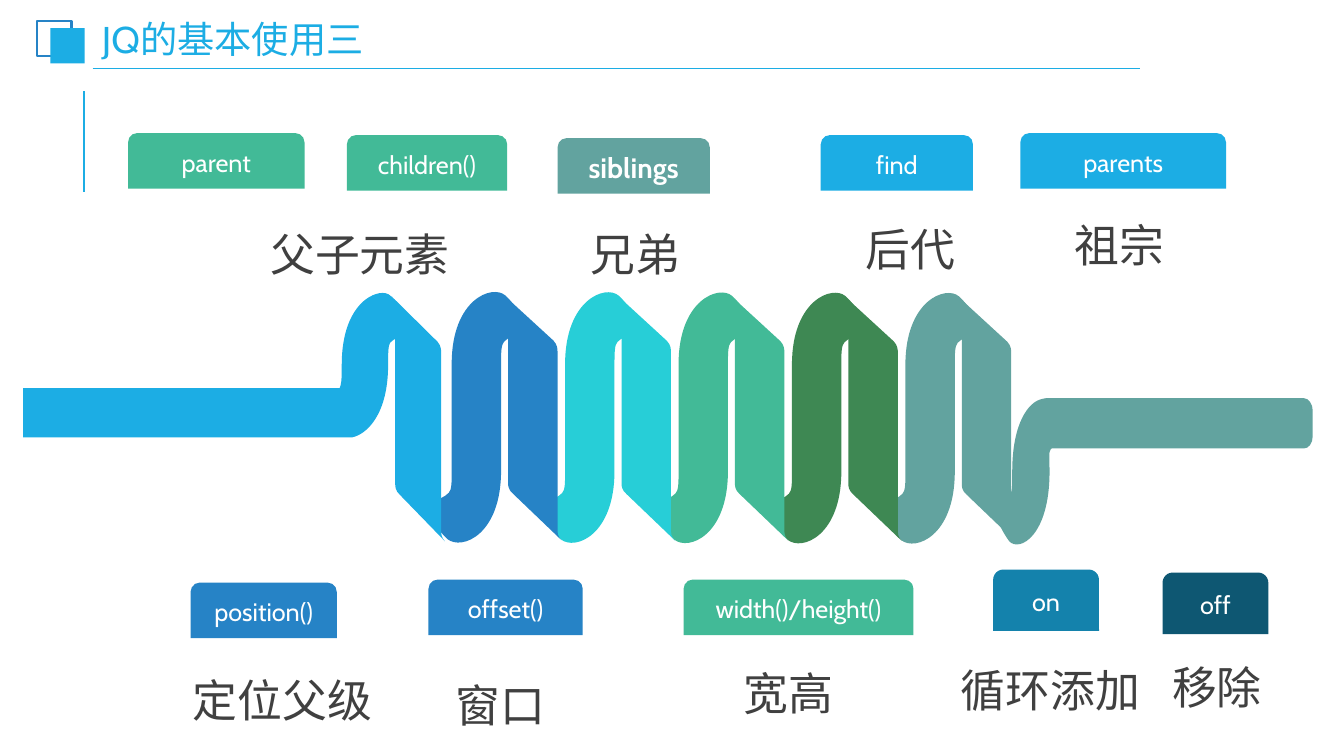
from lxml import etree
from pptx import Presentation
from pptx.dml.color import RGBColor
from pptx.enum.shapes import MSO_CONNECTOR as CONN, MSO_SHAPE as SHAPE
from pptx.enum.text import MSO_ANCHOR as ANCHOR, MSO_AUTO_SIZE as AUTO, PP_ALIGN as ALIGN
from pptx.oxml.ns import qn
from pptx.util import Pt

PX = 9144  # EMU per px, 100 px to the inch
SKY, BLUE, CYAN, GREEN = "1CADE4", "2683C6", "27CED7", "42BA97"
FOREST, SAGE, TEAL, NAVY = "3E8853", "62A39F", "1482AC", "0E5772"
WHITE, INK = "FFFFFF", "404040"

# Outlines in px: a pair is a corner, six numbers are a Bezier curve.
BEND = [
    (49, 174), (49, 69), (49, 57, 49, 49, 52, 46), (61, 37, 70, 42, 72, 35),
    (75, 26, 61, 7, 53, 0), (40, -11, 0, 4, 0, 68), (0, 174),
    (0, 186, 0, 193, -3, 196), (-12, 205, -21, 201, -23, 207),
    (-26, 216, -12, 235, -4, 242), (10, 253, 49, 238, 49, 174),
]
SLAB = [
    (105, 234), (105, 56), (105, 54, 105, 49, 101, 45), (52, 0),
    (53, 0, 56, 4, 56, 9), (56, 187), (56, 188, 56, 193, 61, 197),
    (109, 243), (108, 242, 105, 239, 105, 234),
]
HEAD = [
    (376, 291), (381, 290, 385, 291, 388, 294), (396, 301, 409, 320, 407, 329),
    (405, 335, 396, 331, 387, 340), (385, 343, 385, 351, 385, 362),
    (385, 411, 364, 431, 349, 434), (23, 434), (23, 385), (337, 385), (338, 382),
    (339, 378, 339, 371, 339, 362), (339, 314, 360, 294, 376, 291),
]
TAIL = [
    (1038, 395), (1293, 395), (1298, 395, 1302, 401, 1302, 407), (1302, 433),
    (1302, 440, 1298, 445, 1293, 445), (1043, 445), (1042, 446),
    (1040, 448, 1041, 456, 1041, 468), (1041, 532, 1011, 548, 1001, 537),
    (995, 529, 985, 511, 987, 501), (988, 495, 995, 499, 1002, 490),
    (1004, 488, 1004, 480, 1004, 468), (1004, 420, 1020, 399, 1033, 396),
    (1034, 396, 1035, 395, 1038, 395),
]
COILS = [BLUE, CYAN, GREEN, FOREST, SAGE]

TABS = [
    ("parent", 127, 132, 175, 55, GREEN),
    ("children()", 344, 134, 159, 55, GREEN),
    ("find", 814, 134, 151, 55, SKY),
    ("parents", 1012, 132, 204, 55, SKY),
    ("position()", 189, 578, 145, 55, BLUE),
    ("offset()", 425, 575, 153, 55, BLUE),
    ("width()/height()", 678, 575, 228, 55, GREEN),
    ("on", 985, 565, 105, 61, TEAL),
    ("off", 1153, 568, 105, 61, NAVY),
]
CAPTIONS = [
    ("父子元素", 226, 204), ("兄弟", 499, 204), ("后代", 772, 199), ("祖宗", 979, 195),
    ("定位父级", 149, 646), ("窗口", 365, 651), ("宽高", 651, 640),
    ("循环添加", 911, 637), ("移除", 1076, 634),
]


def rgb(value):
    return RGBColor.from_string(value)


def emu(*lengths):
    return [round(n * PX) for n in lengths]


def write(tf, text, *, size, color, bold=False, align=ALIGN.CENTER, spacing=1.0,
          anchor=ANCHOR.MIDDLE, fit=AUTO.NONE):
    tf.word_wrap, tf.auto_size, tf.vertical_anchor = True, fit, anchor
    p = tf.paragraphs[0]
    p.alignment, p.line_spacing = align, spacing
    r = p.add_run()
    r.text = text
    r.font.name, r.font.size, r.font.bold = "Cabin", Pt(size), bold
    r.font.color.rgb = rgb(color)


def bend_segments(sp, outline):
    """Join each three straight segments that stand for a curve into one."""
    segments = iter(list(sp._element.iter(qn("a:lnTo"))))
    for part in outline[1:]:
        first = next(segments)
        if len(part) == 6:
            first.tag = qn("a:cubicBezTo")
            for _ in range(2):
                control = next(segments)
                first.append(control[0])
                control.getparent().remove(control)


class Deck:
    def __init__(self, width, height):
        self.prs = Presentation()
        self.prs.slide_width, self.prs.slide_height = emu(width, height)
        self.s = self.prs.slides.add_slide(self.prs.slide_layouts[5])

    def title(self, text, x, y, w, h):
        sp = self.s.shapes.title
        sp.left, sp.top, sp.width, sp.height = emu(x, y, w, h)
        tf = sp.text_frame
        tf.margin_left, tf.margin_right, tf.margin_top, tf.margin_bottom = emu(7, 7, 4, 4)
        write(tf, text, size=26.6, color=SKY, align=ALIGN.LEFT, spacing=0.9)

    def line(self, x1, y1, x2, y2, weight):
        c = self.s.shapes.add_connector(CONN.STRAIGHT, *emu(x1, y1, x2, y2))
        c.line.color.rgb, c.line.width = rgb(SKY), Pt(weight)
        etree.SubElement(c._element.spPr, qn("a:effectLst"))

    def paint(self, sp, fill=None, line=None):
        sp.shadow.inherit = False
        if fill:
            sp.fill.solid()
            sp.fill.fore_color.rgb = rgb(fill)
        else:
            sp.fill.background()
        if line:
            sp.line.color.rgb, sp.line.width = rgb(line), Pt(1.5)
        else:
            sp.line.fill.background()

    def box(self, kind, x, y, w, h, **colors):
        sp = self.s.shapes.add_shape(kind, *emu(x, y, w, h))
        self.paint(sp, **colors)
        return sp

    def tab(self, text, x, y, w, h, fill, size=18, bold=False):
        sp = self.box(SHAPE.ROUND_2_SAME_RECTANGLE, x, y, w, h, fill=fill)
        write(sp.text_frame, text, size=size, color=WHITE, bold=bold)

    def caption(self, text, x, y):
        sp = self.s.shapes.add_textbox(*emu(x, y, 262, 75))
        write(sp.text_frame, text, size=32, color=INK, spacing=1.3,
              anchor=ANCHOR.TOP, fit=AUTO.SHAPE_TO_FIT_TEXT)

    def ribbon(self, outline, fill, x=0, y=0, stretch=1):
        """Draw an outline moved to x, y and stretched sideways."""
        points = [emu(x + part[k] * stretch, y + part[k + 1])
                  for part in outline for k in range(0, len(part), 2)]
        fb = self.s.shapes.build_freeform(*points[0])
        fb.add_line_segments(points[1:], close=True)
        sp = fb.convert_to_shape()
        bend_segments(sp, outline)
        self.paint(sp, fill=fill)


def main():
    deck = Deck(1333, 750)
    deck.line(83, 190, 83, 90, 1.5)
    deck.line(92, 68, 1131, 68, 1.25)
    deck.box(SHAPE.RECTANGLE, 37, 21, 34, 35, line=BLUE)
    deck.box(SHAPE.RECTANGLE, 50, 28, 34, 35, fill=SKY)
    deck.title("JQ的基本使用三", 94, 23, 393, 37)

    deck.ribbon(TAIL, SAGE)
    for i, color in reversed(list(enumerate(COILS))):
        x, y = 448 + 112.5 * i, 293 + 0.25 * i
        deck.ribbon(BEND, color, x, y)
        deck.ribbon(SLAB, color, x, y)
    deck.ribbon(HEAD, SKY)
    deck.ribbon(SLAB, SKY, 340, 294, stretch=0.93)

    for tab in TABS:
        deck.tab(*tab)
    deck.tab("siblings", 553, 137, 151, 55, SAGE, size=20, bold=True)
    for caption in CAPTIONS:
        deck.caption(*caption)
    deck.prs.save("out.pptx")


if __name__ == "__main__":
    main()
